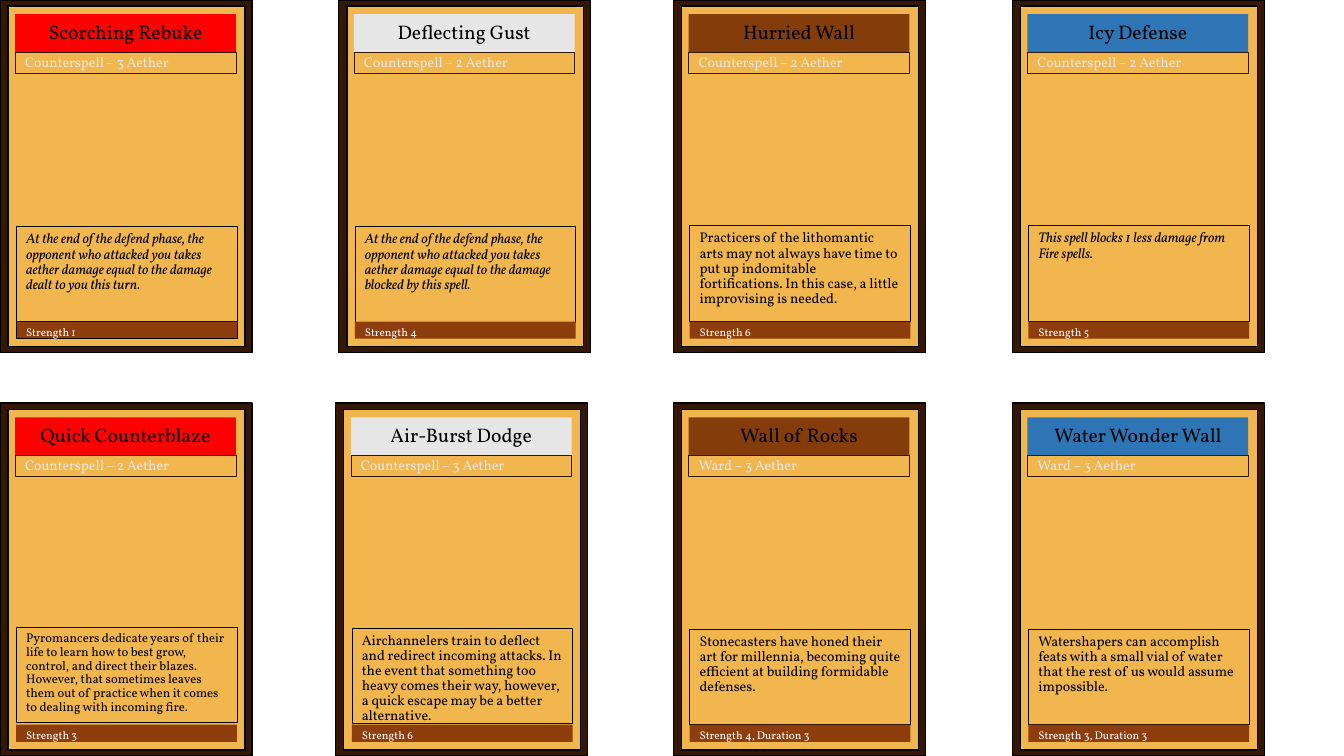
"""Build a slide of eight defensive spell cards in two rows of four."""
from pptx import Presentation
from pptx.dml.color import RGBColor
from pptx.enum.shapes import MSO_SHAPE
from pptx.enum.text import MSO_ANCHOR, PP_ALIGN
from pptx.util import Inches, Pt

RECTANGLE = MSO_SHAPE.RECTANGLE
TOP, MIDDLE = MSO_ANCHOR.TOP, MSO_ANCHOR.MIDDLE
LEFT, CENTER = PP_ALIGN.LEFT, PP_ALIGN.CENTER

BLACK = RGBColor(0x00, 0x00, 0x00)
WHITE = RGBColor(0xFF, 0xFF, 0xFF)
DARK_WOOD = RGBColor(0x35, 0x17, 0x05)
PARCHMENT = RGBColor(0xF1, 0xB6, 0x4D)
STRENGTH_BROWN = RGBColor(0x8E, 0x3E, 0x0C)
PALE_GRAY = RGBColor(0xE7, 0xE6, 0xE6)
FIRE = RGBColor(0xFF, 0x00, 0x00)
AIR = PALE_GRAY
EARTH = RGBColor(0x84, 0x3C, 0x0B)
WATER = RGBColor(0x2E, 0x75, 0xB6)

FONT = "Vollkorn"
BAR_WIDTH = 2.19

CARDS = [
    (0, 0, FIRE, "Scorching Rebuke", "Counterspell – 3 Aether", 2.25, 10, True,
     "At the end of the defend phase, the opponent who attacked you takes aether "
     "damage equal to the damage dealt to you this turn.", "Strength 1", BLACK),
    (3.36, 0, AIR, "Deflecting Gust", "Counterspell – 2 Aether", 2.25, 10, True,
     "At the end of the defend phase, the opponent who attacked you takes aether "
     "damage equal to the damage blocked by this spell.", "Strength 4", None),
    (6.68, 0, EARTH, "Hurried Wall", "Counterspell – 2 Aether", 2.24, 10, False,
     "Practicers of the lithomantic arts may not always have time to put up "
     "indomitable fortifications. In this case, a little improvising is needed.",
     "Strength 6", None),
    (10.04, 0, WATER, "Icy Defense", "Counterspell – 2 Aether", 2.24, 10, True,
     "This spell blocks 1 less damage from Fire spells.", "Strength 5", None),
    (0, 4, FIRE, "Quick Counterblaze", "Counterspell – 2 Aether", 2.22, 9, False,
     "Pyromancers dedicate years of their life to learn how to best grow, control, "
     "and direct their blazes. However, that sometimes leaves them out of practice "
     "when it comes to dealing with incoming fire.", "Strength 3", None),
    (3.33, 4, AIR, "Air-Burst Dodge", "Counterspell – 3 Aether", 2.23, 10, False,
     "Airchannelers train to deflect and redirect incoming attacks. In the event "
     "that something too heavy comes their way, however, a quick escape may be a "
     "better alternative.", "Strength 6", None),
    (6.68, 4, EARTH, "Wall of Rocks", "Ward – 3 Aether", 2.24, 10, False,
     "Stonecasters have honed their art for millennia, becoming quite efficient at "
     "building formidable defenses.", "Strength 4, Duration 3", None),
    (10.04, 4, WATER, "Water Wonder Wall", "Ward – 3 Aether", 2.24, 10, False,
     "Watershapers can accomplish feats with a small vial of water that the rest "
     "of us would assume impossible.", "Strength 3, Duration 3", None),
]


def add_box(left, top, width, height, fill, line, line_width):
    """Add a rectangle; None leaves the fill or the line out."""
    shape = slide.shapes.add_shape(
        RECTANGLE, Inches(left), Inches(top), Inches(width), Inches(height))
    shape.shadow.inherit = False
    for part, color in ((shape.fill, fill), (shape.line.fill, line)):
        if color is None:
            part.background()
        else:
            part.solid()
            part.fore_color.rgb = color
    if line is not None:
        shape.line.width = Pt(line_width)
    return shape


def write_text(shape, text, size, color, anchor, alignment, italic=False):
    """Put one paragraph of text in a shape."""
    frame = shape.text_frame
    frame.word_wrap = True
    frame.vertical_anchor = anchor
    paragraph = frame.paragraphs[0]
    paragraph.alignment = alignment
    paragraph.line_spacing = 0.9
    run = paragraph.add_run()
    run.text = text
    run.font.color.rgb = color
    font_format = {"name": FONT, "size": Pt(size), "italic": italic}
    for attribute, value in font_format.items():
        setattr(run.font, attribute, value)


presentation = Presentation()
presentation.slide_width = Inches(13.33)
presentation.slide_height = Inches(7.5)
slide = presentation.slides.add_slide(presentation.slide_layouts[6])

for (left, top, element, name, kind, rules_top, rules_size, italic,
     rules, strength, strength_line) in CARDS:
    add_box(left, top, 2.5, 3.5, DARK_WOOD, BLACK, 1)
    add_box(left + 0.08, top + 0.06, 2.35, 3.38, PARCHMENT, BLACK, 1)

    title_bar = add_box(left + 0.15, top + 0.14, BAR_WIDTH, 0.38, element, None, 0.5)
    write_text(title_bar, name, 14, BLACK, MIDDLE, CENTER)

    kind_bar = add_box(left + 0.15, top + 0.52, BAR_WIDTH, 0.21, None, DARK_WOOD, 0.5)
    write_text(kind_bar, kind, 10, PALE_GRAY, MIDDLE, LEFT)

    rules_box = add_box(left + 0.16, top + rules_top, BAR_WIDTH, 0.95,
                        PARCHMENT, BLACK, 0.5)
    write_text(rules_box, rules, rules_size, BLACK, TOP, LEFT, italic)

    strength_bar = add_box(left + 0.16, top + 3.19, BAR_WIDTH, 0.17,
                           STRENGTH_BROWN, strength_line, 0.5)
    write_text(strength_bar, strength, 8, WHITE, TOP, LEFT)

presentation.save("out.pptx")
